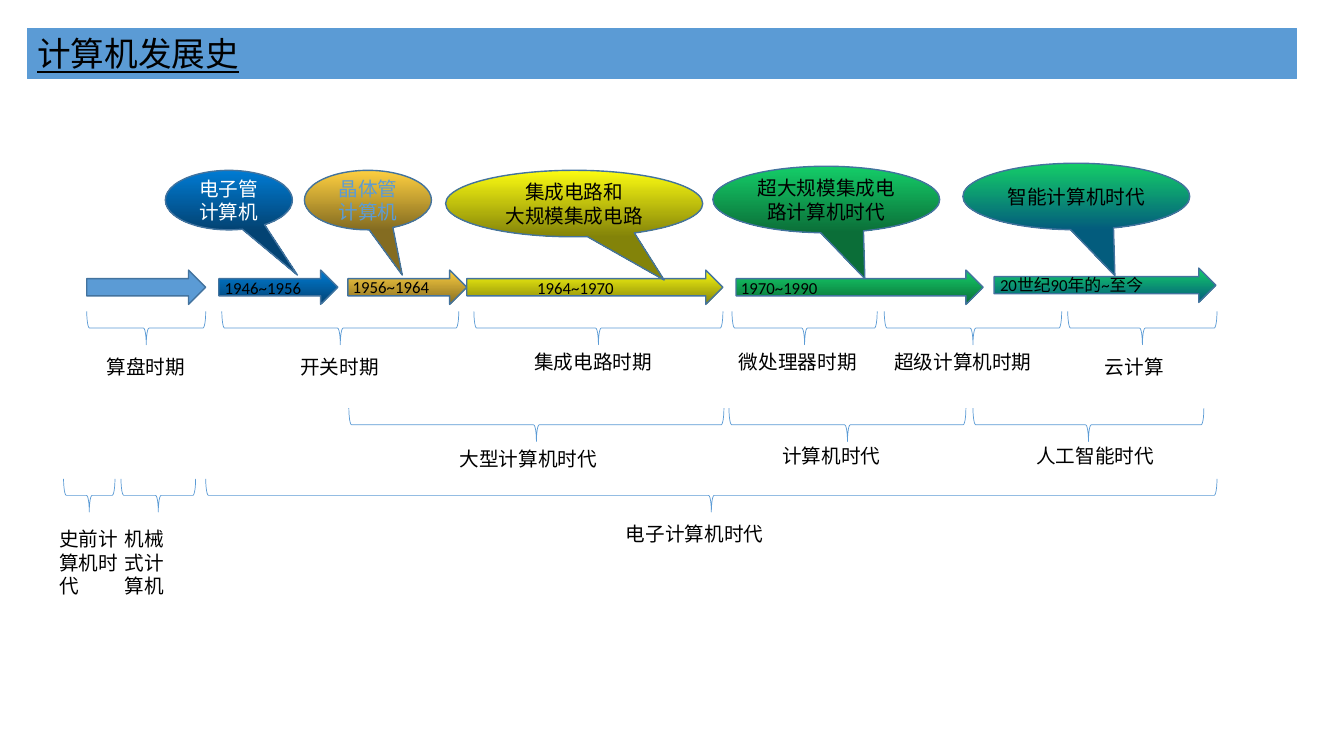
from pptx import Presentation
from pptx.dml.color import RGBColor
from pptx.enum.shapes import MSO_SHAPE
from pptx.enum.text import MSO_ANCHOR, MSO_AUTO_SIZE, PP_ALIGN
from pptx.util import Inches, Pt

ARROW = MSO_SHAPE.RIGHT_ARROW
CALLOUT = MSO_SHAPE.OVAL_CALLOUT
BRACE = MSO_SHAPE.RIGHT_BRACE
LEFT, CENTER = PP_ALIGN.LEFT, PP_ALIGN.CENTER
TOP, MIDDLE = MSO_ANCHOR.TOP, MSO_ANCHOR.MIDDLE
NO_FIT, GROW = MSO_AUTO_SIZE.NONE, MSO_AUTO_SIZE.SHAPE_TO_FIT_TEXT

THEME = {
    "font": "Calibri",
    "title": 24, "label": 14, "year": 12,
    "accent": "5B9BD5", "outline": "43739E",
    "black": "000000", "white": "FFFFFF",
    "blue": ("007BD3", "034373"),
    "gold": ("FECF40", "846C21"),
    "yellow": ("FBFB11", "838309"),
    "green": ("14CD68", "0B6E38"),
    "teal": ("14CD68", "035C7D"),
}

TITLE = "计算机发展史"

# left, top, width, fill
ARROWS = [
    (0.86, 2.68, 1.18, "accent"),
    (2.17, 2.68, 1.18, "blue"),
    (3.45, 2.68, 1.18, "gold"),
    (4.63, 2.68, 2.54, "yellow"),
    (7.3, 2.68, 2.45, "green"),
    (9.86, 2.66, 2.2, "teal"),
]
ARROW_H = 0.34

# text, left, top, width
YEARS = [
    ("1946~1956", 2.13, 2.71, 1.06),
    ("1956~1964", 3.4, 2.7, 1.06),
    ("1964~1970", 5.23, 2.71, 1.06),
    ("1970~1990", 7.25, 2.71, 1.24),
    ("20世纪90年的~至今", 9.82, 2.68, 1.84),
]
YEAR_H = 0.3

# text, box, pointer tip, fill, text colour
CALLOUTS = [
    ("电子管计算机", (1.64, 1.69, 1.26, 0.59), (0.54, 1.26), "blue", "white"),
    ("晶体管计算机", (3.02, 1.69, 1.26, 0.59), (0.27, 1.26), "gold", "accent"),
    ("集成电路和\n大规模集成电路", (4.42, 1.69, 2.55, 0.66), (0.35, 1.15), "yellow", "black"),
    ("超大规模集成电路计算机时代", (7.07, 1.65, 2.25, 0.66), (0.17, 1.19), "green", "black"),
    ("智能计算机时代", (9.55, 1.62, 2.25, 0.66), (0.17, 1.19), "teal", "black"),
]

# brace top: brace left and right, text, text left, top, width, wrap
ERAS = {
    3.09: [
        (0.86, 2.04, "算盘时期", 0.96, 3.47, 0.98, False),
        (2.2, 4.55, "开关时期", 2.88, 3.47, 0.98, False),
        (4.7, 7.17, "集成电路时期", 5.2, 3.42, 1.47, True),
        (7.26, 8.7, "微处理器时期", 7.23, 3.42, 1.4, True),
        (8.77, 10.53, "超级计算机时期", 8.77, 3.42, 1.88, True),
        (10.59, 12.07, "云计算", 10.86, 3.47, 0.94, True),
    ],
    4.05: [
        (3.46, 7.18, "大型计算机时代", 4.46, 4.38, 1.84, True),
        (7.23, 9.58, "计算机时代", 7.66, 4.35, 1.47, True),
        (9.65, 11.94, "人工智能时代", 10.18, 4.35, 1.47, True),
    ],
    4.75: [
        (0.63, 1.14, "史前计算机时代", 0.49, 5.18, 0.79, True),
        (1.2, 1.94, "机械式计算机", 1.14, 5.18, 0.68, True),
        (2.04, 12.07, "电子计算机时代", 6.11, 5.13, 1.66, True),
    ],
}
BRACE_H = 0.33
LABEL_H = 0.34


def rgb(name):
    return RGBColor.from_string(THEME[name])


def write(sp, text, size="label", color="black", align=LEFT, anchor=TOP,
          wrap=True, fit=NO_FIT, underline=None):
    tf = sp.text_frame
    tf.text = text
    tf.word_wrap = wrap
    tf.auto_size = fit
    tf.vertical_anchor = anchor
    for p in tf.paragraphs:
        p.alignment = align
        for r in p.runs:
            r.font.name = THEME["font"]
            r.font.size = Pt(THEME[size])
            r.font.color.rgb = rgb(color)
            r.font.underline = underline


def add_shape(s, kind, box, fill=None, line="outline", weight=1):
    sp = s.shapes.add_shape(kind, *map(Inches, box))
    sp.shadow.inherit = False
    sp.line.color.rgb = rgb(line)
    sp.line.width = Pt(weight)
    if fill is None:
        sp.fill.background()
    elif isinstance(THEME[fill], tuple):
        sp.fill.gradient()
        sp.fill.gradient_angle = 270
        for i, stop in enumerate(sp.fill.gradient_stops):
            stop.position = i
            stop.color.rgb = RGBColor.from_string(THEME[fill][i])
    else:
        sp.fill.solid()
        sp.fill.fore_color.rgb = rgb(fill)
    return sp


def add_label(s, text, box, **fmt):
    write(s.shapes.add_textbox(*map(Inches, box)), text, fit=GROW, **fmt)


def add_brace(s, left, right, top):
    span = right - left
    x = (left + right - BRACE_H) / 2
    y = top + (BRACE_H - span) / 2
    sp = add_shape(s, BRACE, (x, y, BRACE_H, span), line="accent", weight=0.5)
    sp.rotation = 90


def add_title(s):
    sp = s.shapes.title
    sp.left, sp.top, sp.width, sp.height = map(Inches, (0.27, 0.28, 12.59, 0.5))
    sp.fill.solid()
    sp.fill.fore_color.rgb = rgb("accent")
    sp.line.color.rgb = rgb("accent")
    sp.line.width = Pt(0.75)
    write(sp, TITLE, size="title", underline=True)


def main():
    prs = Presentation()
    prs.slide_width, prs.slide_height = Inches(13.33), Inches(7.5)
    s = prs.slides.add_slide(prs.slide_layouts[5])
    s.background.fill.solid()
    s.background.fill.fore_color.rgb = rgb("white")
    add_title(s)

    for left, top, width, fill in ARROWS:
        add_shape(s, ARROW, (left, top, width, ARROW_H), fill)
    for text, left, top, width in YEARS:
        add_label(s, text, (left, top, width, YEAR_H), size="year")
    for text, box, tip, fill, color in CALLOUTS:
        sp = add_shape(s, CALLOUT, box, fill)
        sp.adjustments[0], sp.adjustments[1] = tip
        write(sp, text, color=color, align=CENTER, anchor=MIDDLE)
    for brace_top, eras in ERAS.items():
        for left, right, text, x, y, width, wrap in eras:
            add_brace(s, left, right, brace_top)
            add_label(s, text, (x, y, width, LABEL_H), wrap=wrap)

    prs.save("out.pptx")


if __name__ == "__main__":
    main()
